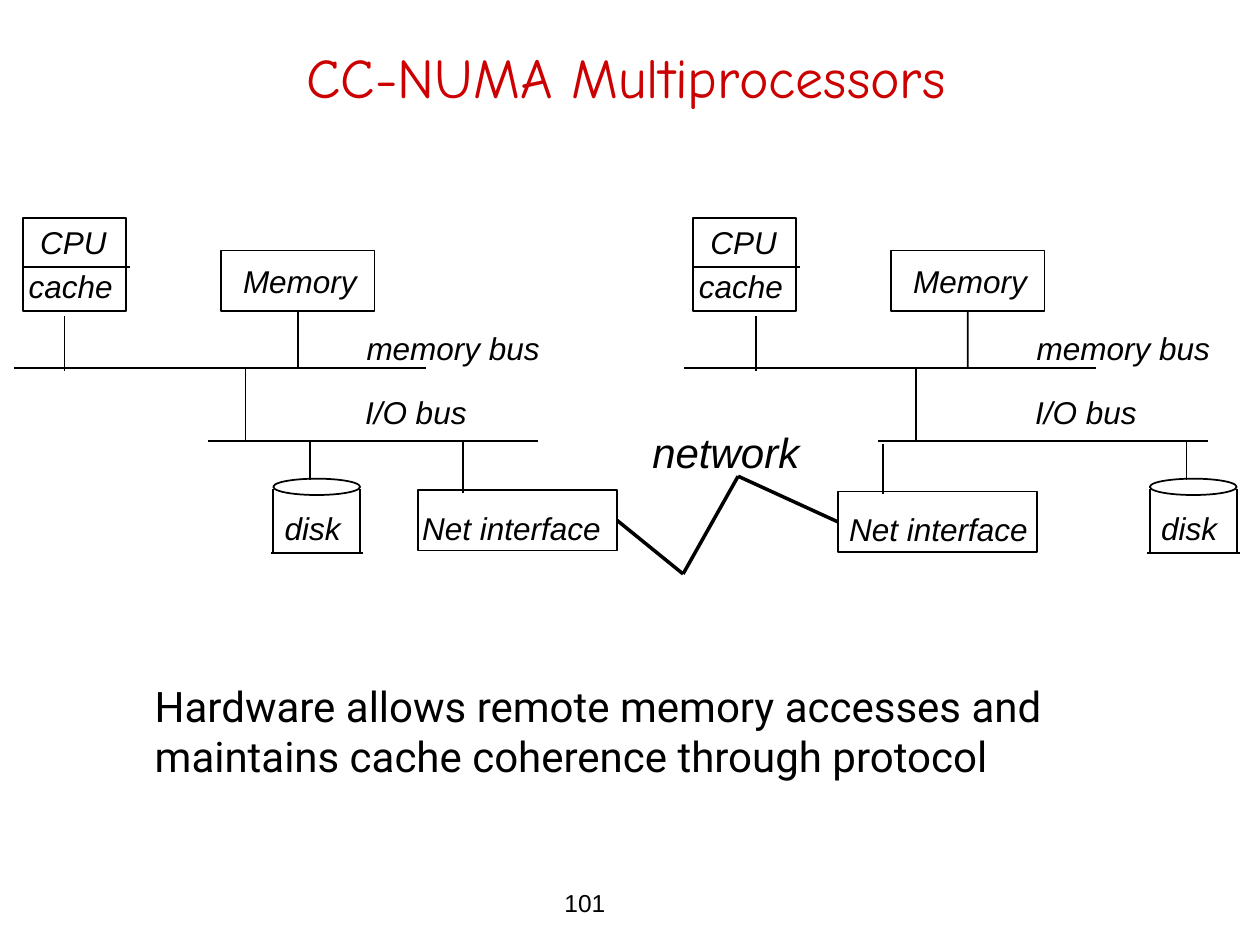
from dataclasses import dataclass
from itertools import pairwise

from lxml.etree import SubElement
from pptx import Presentation
from pptx.dml.color import RGBColor
from pptx.enum.shapes import MSO_CONNECTOR, MSO_SHAPE
from pptx.enum.text import MSO_ANCHOR, PP_ALIGN
from pptx.oxml.ns import qn
from pptx.shapes.autoshape import Shape
from pptx.shapes.connector import Connector
from pptx.slide import Slide
from pptx.util import Cm, Pt


@dataclass(frozen=True)
class Theme:
    ink: RGBColor = RGBColor(0x00, 0x00, 0x00)
    paper: RGBColor = RGBColor(0xFF, 0xFF, 0xFF)
    accent: RGBColor = RGBColor(0xCC, 0x00, 0x00)
    sans: str = "Arial"
    prose: str = "Roboto"
    comic: str = "Comic Neue"
    title: int = 32
    large: int = 24
    label: int = 18
    small: int = 14
    thin: int = 1
    thick: int = 2


@dataclass(frozen=True)
class Node:
    left: float
    cpu: float
    disk: float
    net: float
    tag: float
    drop: float


THEME = Theme()
BUS = 7.42
PORT = 8.92
NODES = (
    Node(left=0, cpu=1.3, disk=5.51, net=8.43, tag=8.26, drop=0),
    Node(left=13.51, cpu=15.24, disk=23.18, net=16.89, tag=16.87, drop=0.03),
)


def add_line(slide: Slide, x1: float, y1: float, x2: float, y2: float,
             width: int = THEME.thin) -> Connector:
    line = slide.shapes.add_connector(
        MSO_CONNECTOR.STRAIGHT, Cm(x1), Cm(y1), Cm(x2), Cm(y2))
    line.line.color.rgb = THEME.ink
    line.line.width = Pt(width)
    SubElement(line._element.spPr, qn("a:effectLst"))
    return line


def add_box(slide: Slide, x: float, y: float, wide: float, high: float,
            kind: MSO_SHAPE = MSO_SHAPE.RECTANGLE) -> Shape:
    box = slide.shapes.add_shape(kind, Cm(x), Cm(y), Cm(wide), Cm(high))
    box.shadow.inherit = False
    box.fill.solid()
    box.fill.fore_color.rgb = THEME.paper
    box.line.color.rgb = THEME.ink
    box.line.width = Pt(THEME.thin)
    return box


def add_text(slide: Slide, text: str, x: float, y: float, wide: float,
             high: float = 1.02, size: int = THEME.label,
             font: str = THEME.sans, slant: bool = True) -> None:
    frame = slide.shapes.add_textbox(Cm(x), Cm(y), Cm(wide), Cm(high)).text_frame
    frame.word_wrap = True
    frame.text = text
    for para in frame.paragraphs:
        para.font.name = font
        para.font.size = Pt(size)
        para.font.italic = slant
        para.font.color.rgb = THEME.ink


def add_title(slide: Slide, text: str) -> None:
    title = slide.shapes.title
    title.left, title.top = Cm(1.12), Cm(0.43)
    title.width, title.height = Cm(23.01), Cm(1.9)
    frame = title.text_frame
    frame.text = text
    frame.vertical_anchor = MSO_ANCHOR.BOTTOM
    para = frame.paragraphs[0]
    para.alignment = PP_ALIGN.CENTER
    para.font.name = THEME.comic
    para.font.size = Pt(THEME.title)
    para.font.color.rgb = THEME.accent


def add_disk(slide: Slide, x: float) -> None:
    base = 11.15
    add_box(slide, x, 9.65, 1.75, 0.33, MSO_SHAPE.OVAL)
    add_line(slide, x + 0.74, PORT, x + 0.74, 9.68)
    for side in (x, x + 1.75):
        add_line(slide, side, 9.85, side, base)
    add_line(slide, x - 0.05, base, x + 1.81, base)
    add_text(slide, "disk", x - 0.02, 10.13, 1.8)


def add_node(slide: Slide, node: Node) -> Shape:
    x = node.left
    add_line(slide, x + 0.28, BUS, x + 8.59, BUS)
    add_box(slide, x + 0.46, 4.39, 2.08, 1.88)
    add_text(slide, "CPU", x + 0.56, 4.37, 2)
    add_text(slide, "cache", x + 0.33, 5.26, 2.59)
    add_line(slide, x + 0.46, 5.38, x + 2.62, 5.38)
    add_line(slide, node.cpu, 6.38, node.cpu, 7.47)

    memory = add_box(slide, x + 4.45, 5.05, 3.1, 1.22)
    add_text(slide, "Memory", x + 4.65, 5.16, 3)
    stem = add_line(slide, x + 6, 6.27, x + 6, BUS)
    stem.begin_connect(memory, 2)
    add_text(slide, "memory bus", x + 7.14, 6.5, 4.2)

    add_line(slide, x + 4.19, 8.89, x + 10.85, 8.89)
    add_line(slide, x + 4.95, BUS, x + 4.95, PORT)
    add_text(slide, "I/O bus", x + 7.11, 7.8, 2.8)
    add_disk(slide, node.disk)

    net = add_box(slide, node.net, 9.88 + node.drop, 4.01, 1.22)
    port = node.net + 0.91
    add_line(slide, port, PORT + node.drop, port, 9.93 + node.drop)
    add_text(slide, "Net interface", node.tag, 10.13 + node.drop, 4.3)
    return net


def add_link(slide: Slide, start: Shape, end: Shape) -> None:
    bends = ((12.52, 10.67), (13.77, 11.57), (14.88, 9.6), (16.81, 10.62))
    lines = [add_line(slide, *a, *b, THEME.thick) for a, b in pairwise(bends)]
    lines[0].begin_connect(start, 3)
    lines[-1].end_connect(end, 1)
    add_text(slide, "network", 12.9, 8.48, 3.7, 1.27, THEME.large)


def main() -> None:
    deck = Presentation()
    deck.slide_width, deck.slide_height = Cm(25.4), Cm(19.05)
    slide = deck.slides.add_slide(deck.slide_layouts[5])
    add_title(slide, "CC-NUMA Multiprocessors")
    near, far = [add_node(slide, node) for node in NODES]
    add_link(slide, near, far)
    add_text(slide, "Hardware allows remote memory accesses and\n"
             "maintains cache coherence through protocol",
             2.87, 13.59, 19.51, 2.29, THEME.large, THEME.prose, slant=False)
    add_text(slide, "101", 11.13, 17.78, 2.77, 0.86, THEME.small, slant=False)
    deck.save("out.pptx")


if __name__ == "__main__":
    main()
